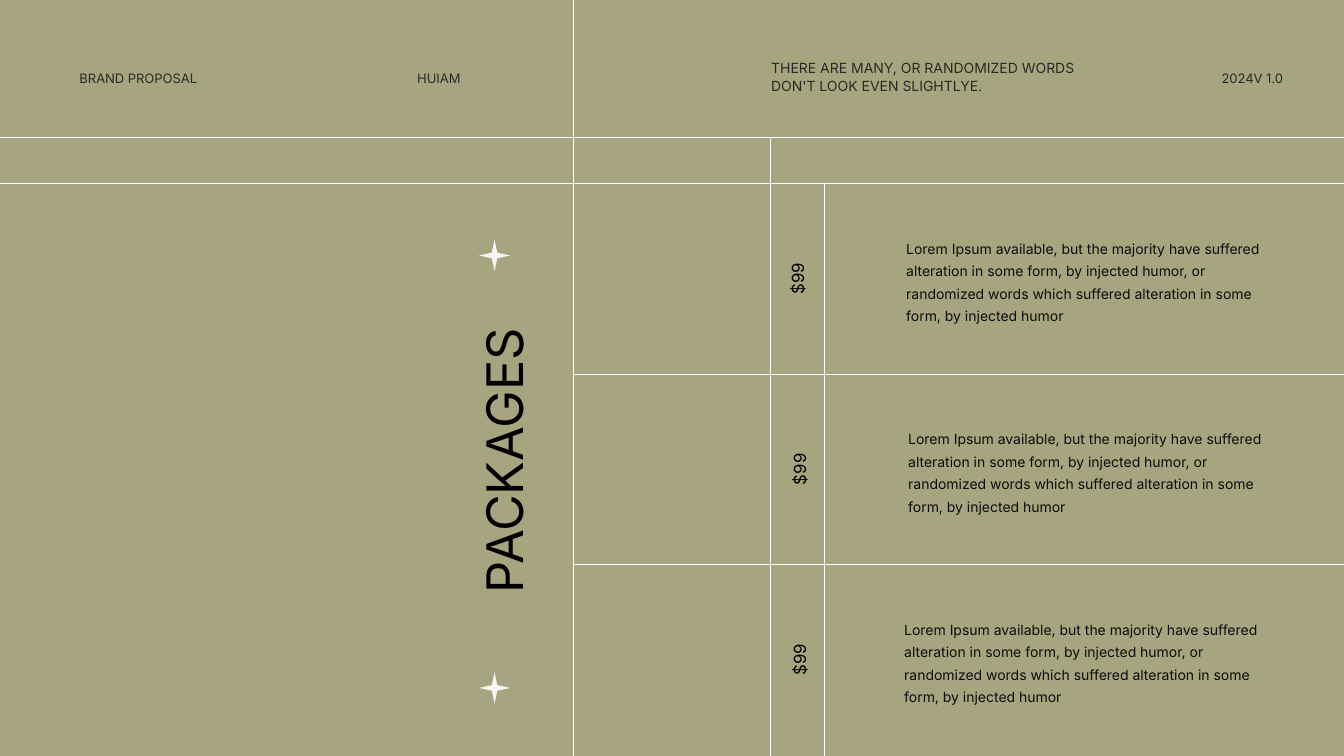
from lxml.etree import SubElement
from pptx import Presentation
from pptx.dml.color import RGBColor
from pptx.enum.shapes import MSO_CONNECTOR, MSO_SHAPE
from pptx.enum.text import MSO_ANCHOR, MSO_AUTO_SIZE, PP_ALIGN
from pptx.oxml.ns import qn
from pptx.util import Inches, Pt

COLORS = {
    "background": "A7A57F",
    "rule": "FFFFFF",
    "star": "F6F6F6",
    "header": "292A25",
    "copy": "0D0D0D",
    "display": "000000",
}
WIDTH, HEIGHT = 13.33, 7.5
COLUMNS = {"left": 0, "packages": 5.69, "price": 7.64, "copy": 8.18, "right": WIDTH}
HEADER_ROW, FIRST_ROW, ROW_HEIGHT = 1.36, 1.82, 1.89
ROWS = [FIRST_ROW + index * ROW_HEIGHT for index in range(3)]
HEADER_LABELS = [
    ("BRAND PROPOSAL", 0.69, 1.83, PP_ALIGN.LEFT),
    ("HUIAM", 4.04, 1.83, PP_ALIGN.LEFT),
    ("2024V 1.0 ", 11.82, 1.04, PP_ALIGN.RIGHT),
]
TAGLINE = "THERE ARE MANY, OR RANDOMIZED WORDS DON'T LOOK EVEN SLIGHTLYE."
DESCRIPTION = (
    "Lorem Ipsum available, but the majority have suffered alteration in some form, "
    "by injected humor, or randomized words which suffered alteration in some form, "
    "by injected humor"
)
PACKAGES = [("$99", 7.58, 8.89), ("$99", 7.6, 8.91), ("$99", 7.6, 8.87)]


def color(name):
    """Return the named colour."""
    return RGBColor.from_string(COLORS[name])


def apply_format(target, values):
    """Set every attribute in a dict of format values."""
    for name, value in values.items():
        setattr(target, name, value)


def write_text(shape, text, color_name, size, spacing=None,
               alignment=PP_ALIGN.LEFT, raised=False):
    """Fill a shape with one formatted paragraph."""
    frame = shape.text_frame
    apply_format(frame, {
        "word_wrap": True,
        "auto_size": MSO_AUTO_SIZE.SHAPE_TO_FIT_TEXT,
        "vertical_anchor": MSO_ANCHOR.TOP,
    })
    paragraph = frame.paragraphs[0]
    apply_format(paragraph, {
        "alignment": alignment,
        "line_spacing": Pt(spacing) if spacing else None,
    })
    run = paragraph.add_run()
    run.text = text
    apply_format(run.font, {"name": "Inter", "size": Pt(size)})
    run.font.color.rgb = color(color_name)
    if raised:
        run._r.get_or_add_rPr().set("baseline", "30000")


def add_text(slide, box, text, color_name, size, rotation=0, **options):
    """Add a text box with formatted text."""
    shape = slide.shapes.add_textbox(*map(Inches, box))
    shape.rotation = rotation
    write_text(shape, text, color_name, size, **options)


def add_rule(slide, *ends):
    """Add a thin grid line between two points."""
    connector = slide.shapes.add_connector(MSO_CONNECTOR.STRAIGHT, *map(Inches, ends))
    connector.line.width = Pt(0.5)
    connector.line.color.rgb = color("rule")
    SubElement(connector._element.spPr, qn("a:effectLst"))


def add_star(slide, top):
    """Add a four-pointed star beside the title."""
    star = slide.shapes.add_shape(MSO_SHAPE.STAR_4_POINT, *map(Inches, (4.75, top, 0.31, 0.31)))
    star.shadow.inherit = False
    star.fill.solid()
    star.fill.fore_color.rgb = color("star")
    star.line.fill.background()


def add_title(slide):
    """Turn the title placeholder into the vertical heading."""
    title = slide.shapes.title
    apply_format(title, {
        "left": Inches(3.08), "top": Inches(4.17),
        "width": Inches(3.6), "height": Inches(0.8), "rotation": 270,
    })
    write_text(title, "PACKAGES", "display", 36, spacing=55, alignment=PP_ALIGN.CENTER)


def add_grid(slide):
    """Draw the lines that divide the slide."""
    add_rule(slide, COLUMNS["left"], HEADER_ROW, COLUMNS["right"], HEADER_ROW)
    for row in ROWS:
        start = COLUMNS["left"] if row == FIRST_ROW else COLUMNS["packages"]
        add_rule(slide, start, row, COLUMNS["right"], row)
    for column, top in (("packages", 0), ("price", HEADER_ROW), ("copy", FIRST_ROW)):
        add_rule(slide, COLUMNS[column], top, COLUMNS[column], HEIGHT)


def add_header(slide):
    """Add the header labels and the tagline."""
    for text, left, width, alignment in HEADER_LABELS:
        add_text(slide, (left, 0.62, width, 0.28), text, "header", 16,
                 alignment=alignment, raised=True)
    add_text(slide, (7.55, 0.53, 3.38, 0.45), TAGLINE, "header", 10, spacing=13)


def add_package(slide, row, price, price_left, copy_left):
    """Add the price and description of one package."""
    add_text(slide, (price_left, row + 0.79, 0.64, 0.31), price, "display", 12,
             rotation=270, spacing=16, alignment=PP_ALIGN.CENTER)
    add_text(slide, (copy_left, row + 0.46, 3.84, 0.98), DESCRIPTION, "copy", 10, spacing=16)


def main():
    """Build and save the packages slide."""
    presentation = Presentation()
    apply_format(presentation, {"slide_width": Inches(WIDTH), "slide_height": Inches(HEIGHT)})
    slide = presentation.slides.add_slide(presentation.slide_layouts[5])
    slide.background.fill.solid()
    slide.background.fill.fore_color.rgb = color("background")
    add_header(slide)
    add_grid(slide)
    for row, package in zip(ROWS, PACKAGES):
        add_package(slide, row, *package)
    add_title(slide)
    for top in (2.38, 6.67):
        add_star(slide, top)
    presentation.save("out.pptx")


if __name__ == "__main__":
    main()
